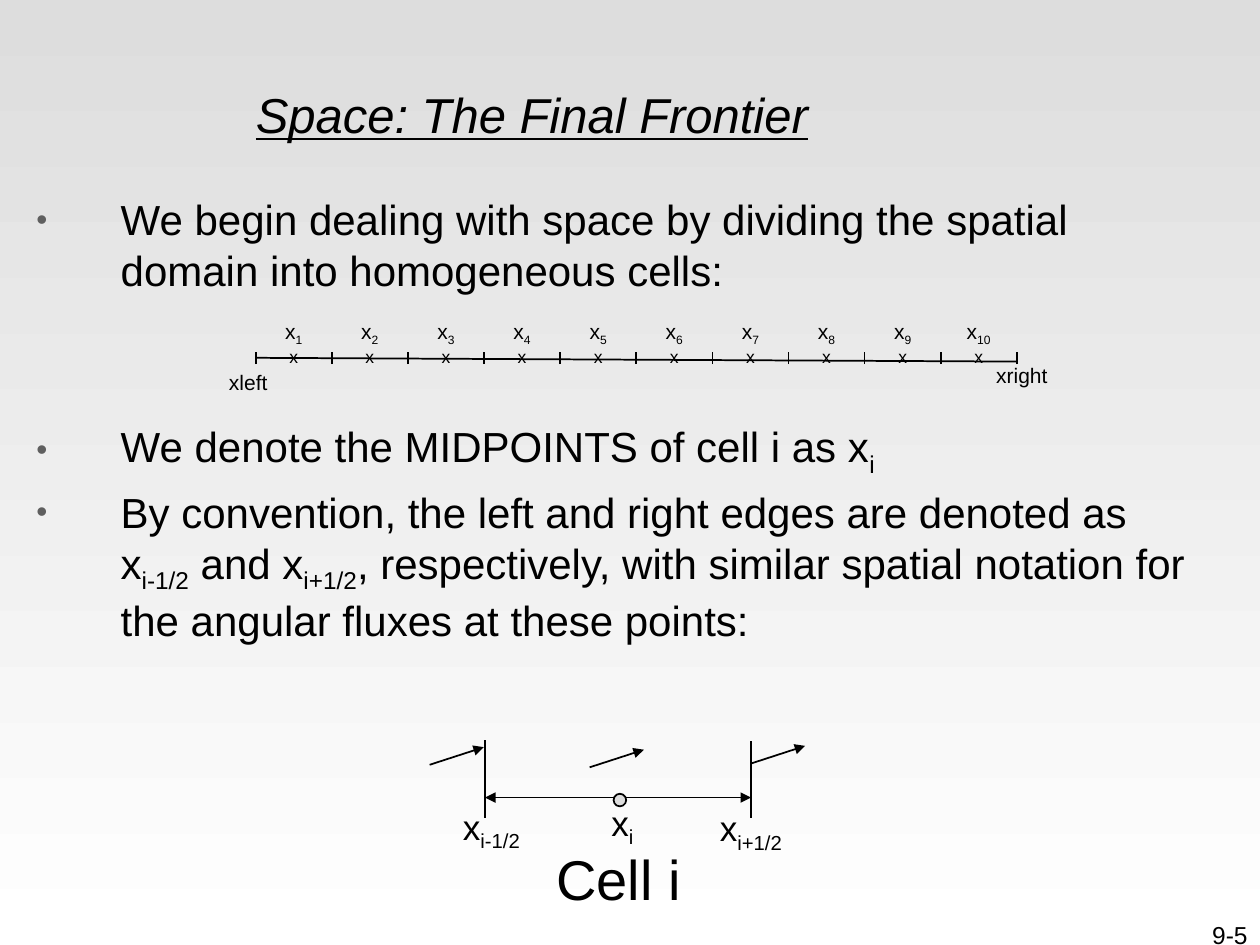
import pptx
import pptx.util
import pptx.dml.color
import pptx.enum.shapes
import pptx.enum.text
from lxml import etree
from pptx.oxml.ns import qn

Inches, Pt = pptx.util.Inches, pptx.util.Pt
PP_ALIGN = pptx.enum.text.PP_ALIGN
BLACK = pptx.dml.color.RGBColor(0x00, 0x00, 0x00)
WHITE = pptx.dml.color.RGBColor(0xFF, 0xFF, 0xFF)
PALE_GRAY = pptx.dml.color.RGBColor(0xDD, 0xDD, 0xDD)
BULLET_GRAY = pptx.dml.color.RGBColor(0x5F, 0x5F, 0x5F)

deck = pptx.Presentation()
deck.slide_width, deck.slide_height = Inches(10), Inches(7.5)
slide = deck.slides.add_slide(deck.slide_layouts[5])


def write(paragraph, text, size, align=PP_ALIGN.CENTER):
    """Fill a paragraph; the parts of text between bars are subscripts."""
    paragraph.alignment = align
    for part, words in enumerate(text.split("|")):
        if not words:
            continue
        run = paragraph.add_run()
        run.text = words
        run.font.name, run.font.size = "Arial", Pt(size)
        run.font.color.rgb = BLACK
        if part % 2:
            run.font._element.set("baseline", "-25000")


def draw_line(x1, y1, x2, y2, *arrow_ends):
    line = slide.shapes.add_connector(
        pptx.enum.shapes.MSO_CONNECTOR.STRAIGHT,
        Inches(x1), Inches(y1), Inches(x2), Inches(y2))
    line.line.color.rgb, line.line.width = BLACK, Pt(1)
    for end in arrow_ends:
        etree.SubElement(line.line._get_or_add_ln(), qn(f"a:{end}"), type="triangle")
    etree.SubElement(line._element.spPr, qn("a:effectLst"))


# Background, darker at the top
backdrop = slide.background.fill
backdrop.gradient()
backdrop.gradient_angle = 270
for stop, color in zip(backdrop.gradient_stops, (PALE_GRAY, WHITE)):
    stop.color.rgb = color

# Title
title = slide.shapes.title
title.left, title.top = Inches(1.93), Inches(0.28)
title.width, title.height = Inches(7.83), Inches(1.25)
title.text_frame.vertical_anchor = pptx.enum.text.MSO_ANCHOR.MIDDLE
heading = title.text_frame.paragraphs[0]
write(heading, "Space: The Final Frontier", 28, PP_ALIGN.LEFT)
heading.runs[0].font.italic = heading.runs[0].font.underline = True

# Bullets; the wide gap leaves room for the row of cells
points = [
    ("We begin dealing with space by dividing the spatial domain into "
     "homogeneous cells:", 0),
    ("We denote the MIDPOINTS of cell i as x|i|", 72),
    ("By convention, the left and right edges are denoted as x|i-1/2| and "
     "x|i+1/2|, respectively, with similar spatial notation for the angular "
     "fluxes at these points:", 5),
]
body = slide.shapes.add_textbox(
    Inches(0.19), Inches(1.49), Inches(9.47), Inches(6.01)).text_frame
body.word_wrap = True
body.margin_right = Inches(0.15)
for number, (text, gap) in enumerate(points):
    point = body.add_paragraph() if number else body.paragraphs[0]
    layout = point._p.get_or_add_pPr()
    layout.set("marL", str(Inches(0.67)))
    layout.set("indent", str(-Inches(0.67)))
    bullet_color = etree.SubElement(layout, qn("a:buClr"))
    etree.SubElement(bullet_color, qn("a:srgbClr"), val=str(BULLET_GRAY))
    etree.SubElement(layout, qn("a:buSzPct"), val="75000")
    etree.SubElement(layout, qn("a:buFont"), typeface="Arial")
    etree.SubElement(layout, qn("a:buChar"), char="•")
    point.space_before = Pt(gap)
    write(point, text, 24, PP_ALIGN.LEFT)

# Row of cells: axis and edge ticks
CELLS, DOMAIN_LEFT, DOMAIN_RIGHT = 10, 2.03, 8.07
CELL_WIDTH = (DOMAIN_RIGHT - DOMAIN_LEFT) / CELLS
draw_line(DOMAIN_LEFT, 2.84, DOMAIN_RIGHT, 2.87)
for edge in range(CELLS + 1):
    x = DOMAIN_LEFT + edge * CELL_WIDTH
    draw_line(x, 2.89, x, 2.79)

# Enlarged cell: width, edges and flux arrows
CELL_LEFT, CELL_RIGHT = 3.85, 5.96
draw_line(CELL_LEFT, 6.33, CELL_RIGHT, 6.33, "headEnd", "tailEnd")
draw_line(CELL_LEFT, 6.49, CELL_LEFT, 5.87)
draw_line(CELL_RIGHT, 6.49, CELL_RIGHT, 5.88)
for x, y in ((3.41, 6.07), (4.68, 6.09), (CELL_RIGHT, 6.06)):
    draw_line(x, y, x + 0.43, y - 0.14, "tailEnd")

midpoint = slide.shapes.add_shape(
    pptx.enum.shapes.MSO_SHAPE.OVAL,
    Inches(4.87), Inches(6.3), Inches(0.1), Inches(0.1))
midpoint.shadow.inherit = False
midpoint.fill.solid()
midpoint.fill.fore_color.rgb = PALE_GRAY
midpoint.line.color.rgb, midpoint.line.width = BLACK, Pt(1)

# Labels: text, centre, top, width, height, size
labels = [
    ("xleft", 1.97, 2.88, 0.55, 0.3, 12),
    ("xright", 8.11, 2.83, 0.65, 0.3, 12),
    ("x|i-1/2|", 3.9, 6.34, 0.75, 0.43, 20),
    ("x|i|", 4.94, 6.31, 0.42, 0.43, 20),
    ("x|i+1/2|", 5.96, 6.35, 0.8, 0.43, 20),
    ("Cell i", 4.91, 6.65, 1.25, 0.63, 32),
]
for cell in range(CELLS):
    center = DOMAIN_LEFT + (cell + 0.5) * CELL_WIDTH
    labels.append(("x", center, 2.7, 0.3, 0.27, 10))
    labels.append((f"x|{cell + 1}|", center, 2.48, 0.5, 0.3, 12))
for text, center, top, width, height, size in labels:
    label = slide.shapes.add_textbox(
        Inches(center - width / 2), Inches(top), Inches(width), Inches(height))
    label.text_frame.word_wrap = False
    write(label.text_frame.paragraphs[0], text, size)

# Page number
page = slide.shapes.add_textbox(Inches(7.92), Inches(7.25), Inches(2.08), Inches(0.25))
page.text_frame.word_wrap = True
write(page.text_frame.paragraphs[0], "9-5", 14, PP_ALIGN.RIGHT)

deck.save("out.pptx")
